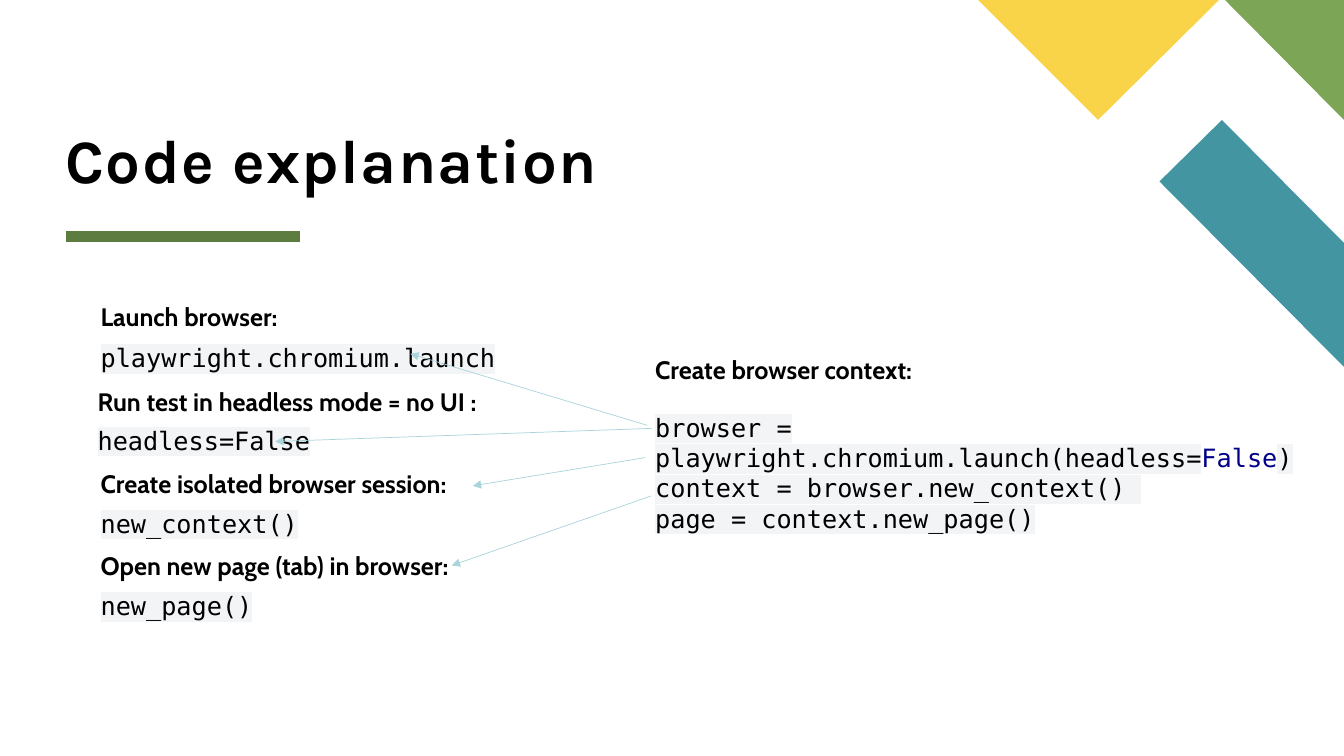
from typing import NamedTuple

from lxml import etree
from pptx import Presentation
from pptx.dml.color import RGBColor
from pptx.enum.shapes import MSO_CONNECTOR
from pptx.enum.text import MSO_ANCHOR, MSO_AUTO_SIZE, PP_ALIGN
from pptx.oxml.ns import qn
from pptx.util import Inches, Pt

STRAIGHT = MSO_CONNECTOR.STRAIGHT
BOTTOM = MSO_ANCHOR.BOTTOM
LEFT = PP_ALIGN.LEFT
NO_FIT = MSO_AUTO_SIZE.NONE
GROW = MSO_AUTO_SIZE.SHAPE_TO_FIT_TEXT

COLORS = {
    "text": "000000",
    "keyword": "000088",
    "code_back": "F3F4F6",
    "teal": "4495A2",
    "green": "7CA655",
    "yellow": "F9D448",
    "underline": "5D7D40",
    "arrow": "A9D4DB",
}
TITLE_FONT, LABEL_FONT, CODE_FONT = "Karla", "Cabin", "DejaVu Sans Mono"
Point = tuple[float, float]


class Style(NamedTuple):
    font: str
    size: float = 18
    bold: bool = False
    color: str = "text"
    highlight: str = ""


class Ornament(NamedTuple):
    color: str
    points: list[Point]


class Note(NamedTuple):
    left: float
    top: float
    width: float
    paragraphs: list[list[tuple[str, Style]]]
    height: float = 0.4


class Line(NamedTuple):
    start: Point
    end: Point
    color: str = "arrow"
    weight: float = 0.5
    arrow: bool = True


TITLE = Style(TITLE_FONT, 44, True)
LABEL = Style(LABEL_FONT, bold=True)
CODE = Style(CODE_FONT, highlight="code_back")
KEYWORD = Style(CODE_FONT, color="keyword")

ORNAMENTS = [
    Ornament("teal", [(13.33, 3.64), (13.33, 2.41), (12.12, 1.19), (11.5, 1.8)]),
    Ornament("green", [(13.33, 1.19), (13.33, 0), (12.15, 0)]),
    Ornament("yellow", [(9.7, 0), (10.89, 1.19), (12.09, 0)]),
]
UNDERLINE = Line((0.65, 2.35), (2.98, 2.35), "underline", 8, False)
NOTES = [
    Note(0.9, 2.94, 5.4, [[("Launch browser:", LABEL)]]),
    Note(0.9, 3.35, 8.07, [[("playwright.chromium.launch", CODE)]]),
    Note(0.87, 3.78, 5.4, [[("Run test in headless mode = no UI :", LABEL)]]),
    Note(0.87, 4.17, 6.67, [[("headless=False", CODE)]]),
    Note(0.9, 4.6, 5.4, [[("Create isolated browser session:", LABEL)]]),
    Note(0.9, 4.99, 6.67, [[("new_context()", CODE)]]),
    Note(0.9, 5.41, 5.4, [[("Open new page (tab) in browser:", LABEL)]]),
    Note(0.9, 5.81, 6.67, [[("new_page()", CODE)]]),
    Note(6.4, 3.47, 5.4, [[("Create browser context:", LABEL)]]),
    Note(6.4, 4.04, 6.67, [
        [("browser = playwright.chromium.launch(headless=", CODE),
         ("False", KEYWORD),
         (") context = browser.new_context() ", CODE)],
        [("page = context.new_page()", CODE)],
    ], 1.01),
]
ARROWS = [
    Line((6.42, 4.22), (4.07, 3.51)),
    Line((6.46, 4.25), (2.73, 4.38)),
    Line((6.4, 4.54), (4.69, 4.82)),
    Line((6.46, 4.92), (4.48, 5.61)),
]


def rgb(name: str) -> RGBColor:
    return RGBColor.from_string(COLORS[name])


def add_run(paragraph, text: str, style: Style):
    run = paragraph.add_run()
    run.text = text
    font = run.font
    font.name, font.size, font.bold = style.font, Pt(style.size), style.bold
    font.color.rgb = rgb(style.color)
    if style.highlight:
        # The highlight belongs right after the text fill
        highlight = etree.Element(qn("a:highlight"))
        etree.SubElement(highlight, qn("a:srgbClr"), val=COLORS[style.highlight])
        run._r.get_or_add_rPr().find(qn("a:solidFill")).addnext(highlight)
    return run


def add_ornament(slide, ornament: Ornament) -> None:
    corners = [(Inches(x), Inches(y)) for x, y in ornament.points]
    builder = slide.shapes.build_freeform(*corners[0])
    builder.add_line_segments(corners[1:], close=True)
    outline = builder.convert_to_shape()
    outline.shadow.inherit = False
    outline.fill.solid()
    outline.fill.fore_color.rgb = rgb(ornament.color)
    outline.line.fill.background()


def add_line(slide, line: Line) -> None:
    ends = [Inches(value) for value in (*line.start, *line.end)]
    connector = slide.shapes.add_connector(STRAIGHT, *ends)
    connector.line.color.rgb = rgb(line.color)
    connector.line.width = Pt(line.weight)
    if line.arrow:
        etree.SubElement(connector.line._get_or_add_ln(), qn("a:tailEnd"), type="triangle")
    etree.SubElement(connector._element.spPr, qn("a:effectLst"))


def add_title(slide, text: str) -> None:
    title = slide.shapes.title
    title.left, title.top = Inches(0.65), Inches(0.22)
    title.width, title.height = Inches(12), Inches(1.72)
    frame = title.text_frame
    frame.margin_left = frame.margin_right = frame.margin_top = frame.margin_bottom = 0
    frame.vertical_anchor = BOTTOM
    frame.auto_size = NO_FIT
    heading = frame.paragraphs[0]
    heading.alignment = LEFT
    heading.line_spacing = 0.8
    run = add_run(heading, text, TITLE)
    run._r.get_or_add_rPr().set("spc", "100")


def add_note(slide, note: Note) -> None:
    area = [Inches(value) for value in (note.left, note.top, note.width, note.height)]
    frame = slide.shapes.add_textbox(*area).text_frame
    frame.word_wrap = True
    frame.auto_size = GROW
    for index, runs in enumerate(note.paragraphs):
        paragraph = frame.add_paragraph() if index else frame.paragraphs[0]
        for text, style in runs:
            add_run(paragraph, text, style)


def main() -> None:
    deck = Presentation()
    deck.slide_width, deck.slide_height = Inches(13.33), Inches(7.5)
    slide = deck.slides.add_slide(deck.slide_layouts[5])

    # Corner ornaments and title
    for ornament in ORNAMENTS:
        add_ornament(slide, ornament)
    add_line(slide, UNDERLINE)
    add_title(slide, "Code explanation")

    # Explanations, code and the arrows between them
    for note in NOTES:
        add_note(slide, note)
    for arrow in ARROWS:
        add_line(slide, arrow)

    deck.save("out.pptx")


if __name__ == "__main__":
    main()
